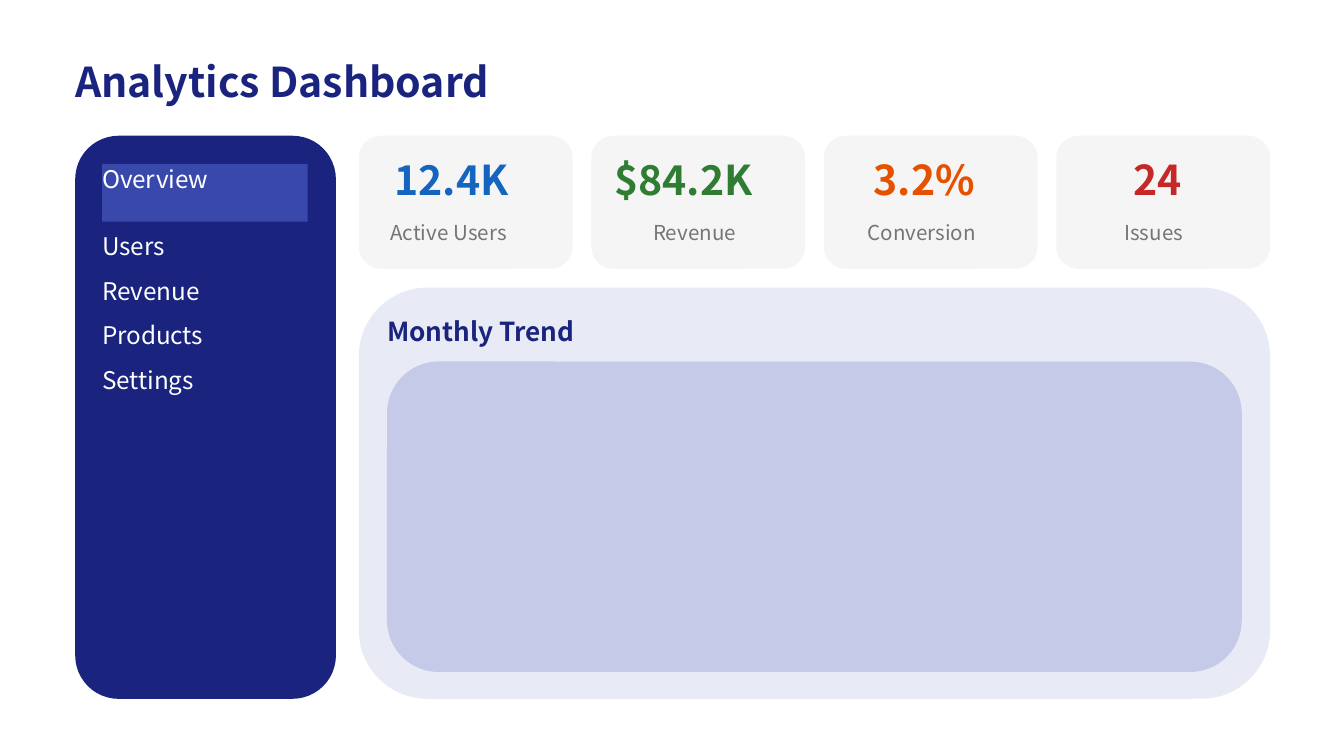
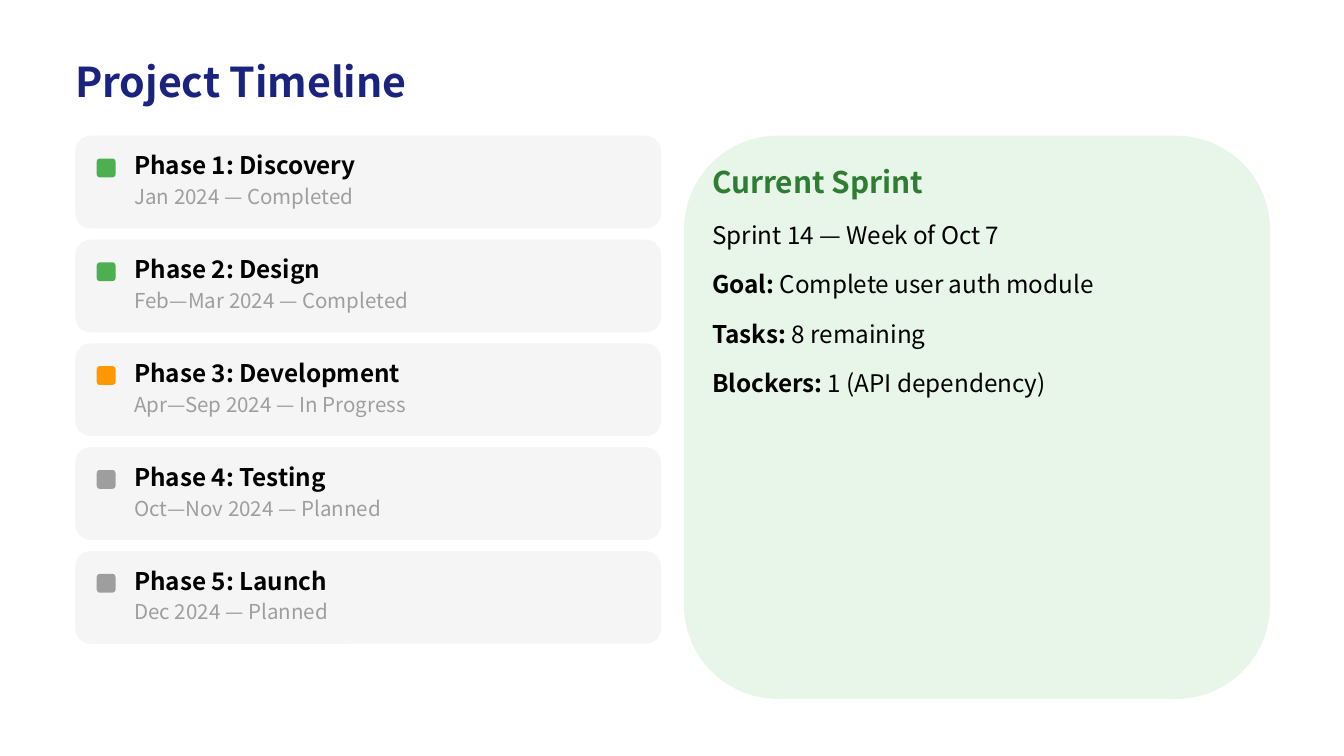
from pptx import Presentation
from pptx.dml.color import RGBColor
from pptx.enum.shapes import MSO_SHAPE
from pptx.enum.text import MSO_ANCHOR, MSO_AUTO_SIZE, PP_ALIGN
from pptx.util import Inches, Pt

FONT = "Noto Sans CJK SC"
NAVY, INDIGO, LAVENDER, PALE = "1A237E", "3949AB", "C5CAE9", "E8EAF6"
WHITE, BLACK, CARD, MUTED, GREY = "FFFFFF", "000000", "F5F5F5", "757575", "9E9E9E"
GREEN, MINT, DONE, ACTIVE = "2E7D32", "E8F5E9", "4CAF50", "FF9800"

LEFT, TOP, WIDTH, HEIGHT = 0.56, 1.01, 8.89, 4.19
PAD = 0.21

NAV_ACTIVE = "Overview"
NAV = ["Users", "Revenue", "Products", "Settings"]
# value, value box width, colour, label, label box width
METRICS = [
    ("12.4K", 1.06, "1565C0", "Active Users", 1.12),
    ("$84.2K", 1.25, GREEN, "Revenue", 0.67),
    ("3.2%", 0.85, "E65100", "Conversion", 0.94),
    ("24", 0.44, "C62828", "Issues", 0.58),
]
# name, dates and state, marker colour, text width
PHASES = [
    ("Phase 1: Discovery", "Jan 2024 — Completed", DONE, 1.97),
    ("Phase 2: Design", "Feb—Mar 2024 — Completed", DONE, 2.22),
    ("Phase 3: Development", "Apr—Sep 2024 — In Progress", ACTIVE, 2.4),
    ("Phase 4: Testing", "Oct—Nov 2024 — Planned", GREY, 2.04),
    ("Phase 5: Launch", "Dec 2024 — Planned", GREY, 1.67),
]
# bold lead, rest of the line
SPRINT = [
    ("", "Sprint 14 — Week of Oct 7"),
    ("Goal:", " Complete user auth module"),
    ("Tasks:", " 8 remaining"),
    ("Blockers:", " 1 (API dependency)"),
]


def rgb(value):
    return RGBColor.from_string(value)


def write(sp, text, size=13, color=BLACK, bold=False, lead=""):
    """Fill a shape with one left-aligned line, opened by an optional bold lead."""
    tf = sp.text_frame
    tf.word_wrap = True
    tf.auto_size = MSO_AUTO_SIZE.NONE
    tf.vertical_anchor = MSO_ANCHOR.TOP
    tf.margin_left = tf.margin_top = tf.margin_right = tf.margin_bottom = 0
    p = tf.paragraphs[0]
    p.alignment = PP_ALIGN.LEFT
    for part, heavy in ((lead, True), (text, bold)):
        if part:
            r = p.add_run()
            r.text = part
            r.font.name, r.font.size, r.font.bold = FONT, Pt(size), heavy
            r.font.color.rgb = rgb(color)


def add_text(slide, x, y, w, h, text, **fmt):
    write(slide.shapes.add_textbox(*map(Inches, (x, y, w, h))), text, **fmt)


def add_panel(slide, x, y, w, h, fill, shape=MSO_SHAPE.ROUNDED_RECTANGLE):
    sp = slide.shapes.add_shape(shape, *map(Inches, (x, y, w, h)))
    sp.shadow.inherit = False
    sp.fill.solid()
    sp.fill.fore_color.rgb = rgb(fill)
    sp.line.fill.background()
    return sp


def add_slide(prs, title):
    slide = prs.slides.add_slide(prs.slide_layouts[5])
    slide.background.fill.solid()
    slide.background.fill.fore_color.rgb = rgb(WHITE)
    sp = slide.shapes.title
    sp.left, sp.top, sp.width, sp.height = map(Inches, (LEFT, 0.42, WIDTH, 0.43))
    write(sp, title, size=22, color=NAVY, bold=True)
    return slide


def add_sidebar(slide):
    x, w = LEFT + 0.2, 1.53
    add_panel(slide, LEFT, TOP, 1.94, HEIGHT, NAVY)
    active = add_panel(slide, x, TOP + PAD, w, 0.43, INDIGO, MSO_SHAPE.RECTANGLE)
    write(active, NAV_ACTIVE, color=WHITE)
    for i, item in enumerate(NAV):
        add_text(slide, x, 1.72 + i / 3, w, 0.26, item, color=WHITE)


def add_metrics(slide, left, card_w=1.59, pitch=1.73):
    for i, (value, value_w, color, label, label_w) in enumerate(METRICS):
        x = left + i * pitch
        center = x + card_w / 2
        add_panel(slide, x, TOP, card_w, 0.99, CARD)
        add_text(slide, center - value_w / 2, 1.15, value_w, 0.44, value,
                 size=22, color=color, bold=True)
        add_text(slide, center - label_w / 2, 1.64, label_w, 0.22, label,
                 size=11, color=MUTED)


def add_trend(slide, left, top=2.14):
    w, h = LEFT + WIDTH - left, TOP + HEIGHT - top
    x, inner_w = left + PAD, w - 2 * PAD
    add_panel(slide, left, top, w, h, PALE)
    add_text(slide, x, top + PAD, inner_w, 0.28, "Monthly Trend",
             size=14, color=NAVY, bold=True)
    add_panel(slide, x, 2.69, inner_w, 2.31, LAVENDER)


def add_phases(slide, card_w):
    pitch = (4.1 - TOP) / (len(PHASES) - 1)
    for i, (name, dates, color, w) in enumerate(PHASES):
        y = TOP + i * pitch
        add_panel(slide, LEFT, y, card_w, 0.69, CARD)
        add_panel(slide, LEFT + 0.16, y + 0.17, 0.14, 0.14, color)
        add_text(slide, 1, y + 0.11, w, 0.26, name, bold=True)
        add_text(slide, 1, y + 0.36, w, 0.22, dates, size=11, color=GREY)


def add_sprint(slide, w):
    left = LEFT + WIDTH - w
    x, inner_w = left + PAD, w - 2 * PAD
    add_panel(slide, left, TOP, w, HEIGHT, MINT)
    add_text(slide, x, TOP + PAD, inner_w, 0.33, "Current Sprint",
             size=16, color=GREEN, bold=True)
    pitch = (2.74 - 1.64) / (len(SPRINT) - 1)
    for i, (lead, text) in enumerate(SPRINT):
        add_text(slide, x, 1.64 + i * pitch, inner_w, 0.26, text, lead=lead)


def main():
    prs = Presentation()
    prs.slide_width = Inches(10)
    prs.slide_height = prs.slide_width * 9 // 16

    dashboard = add_slide(prs, "Analytics Dashboard")
    content_left = 2.67
    add_sidebar(dashboard)
    add_metrics(dashboard, content_left)
    add_trend(dashboard, content_left)

    timeline = add_slide(prs, "Project Timeline")
    column_w = 4.36
    add_phases(timeline, column_w)
    add_sprint(timeline, column_w)

    prs.save("out.pptx")


if __name__ == "__main__":
    main()
